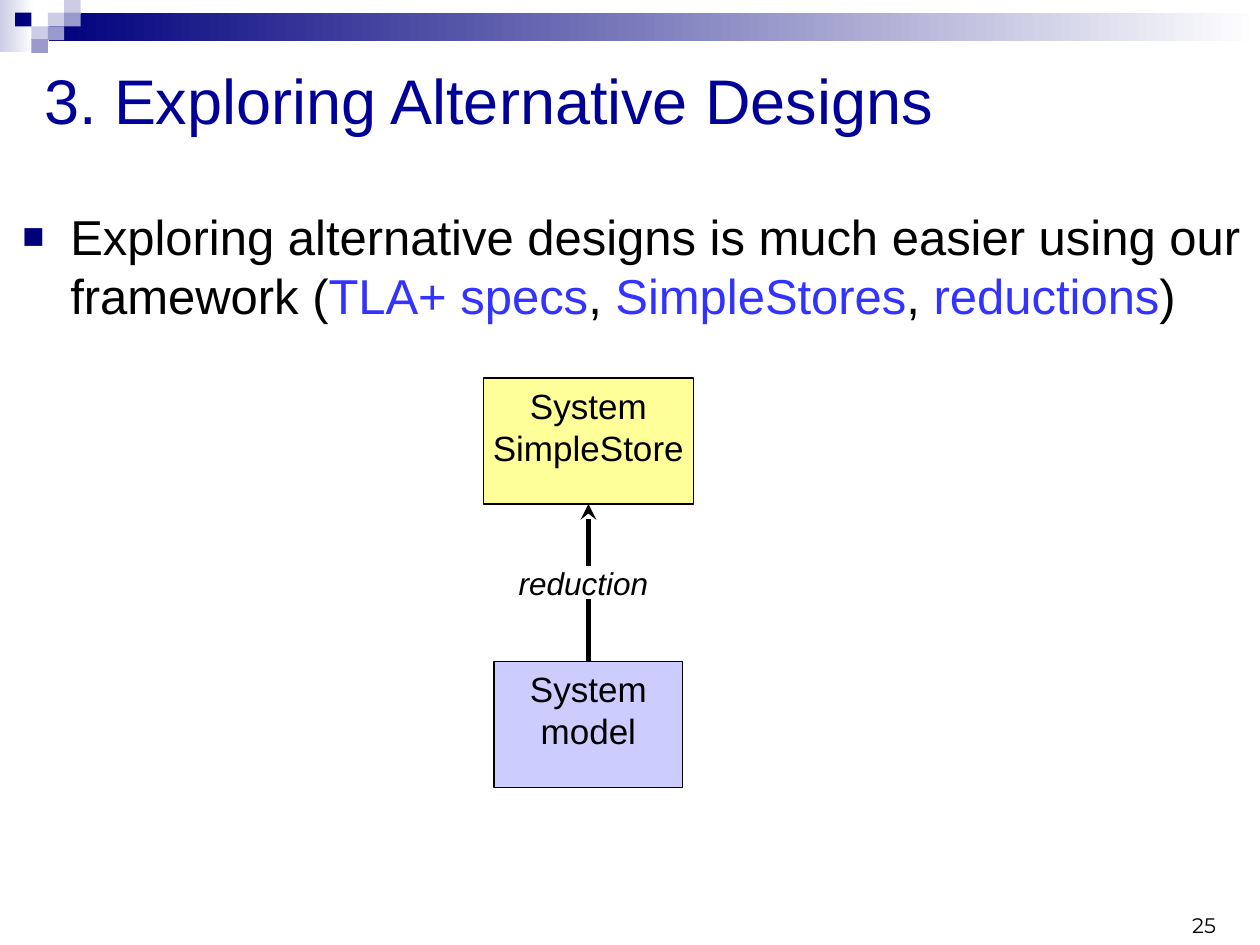
from lxml import etree
from pptx import Presentation
from pptx import util as u
from pptx.dml.color import RGBColor
from pptx.enum import shapes, text
from pptx.oxml.ns import qn

NAVY, LILAC, PALE = "00007D", "9999CC", "CCCCE6"
BLACK, WHITE, BLUE = "000000", "FFFFFF", "3333FF"


def color(hex_code):
    return RGBColor.from_string(hex_code)


class SlideBuilder:
    font = "Arial"

    def __init__(self, deck):
        self.slide = deck.slides.add_slide(deck.slide_layouts[5])

    def place(self, shape, left, top, width, height):
        shape.left, shape.top = u.Inches(left), u.Inches(top)
        shape.width, shape.height = u.Inches(width), u.Inches(height)

    def span(self, para, words, size, hex_code=BLACK, font=None, italic=False):
        span = para.add_run()
        span.text = words
        span.font.name = font or self.font
        span.font.size = u.Pt(size)
        span.font.italic = italic
        span.font.color.rgb = color(hex_code)

    def title(self, words, area):
        title = self.slide.shapes.title
        self.place(title, *area)
        title.text_frame.vertical_anchor = text.MSO_ANCHOR.MIDDLE
        para = title.text_frame.paragraphs[0]
        para.alignment = text.PP_ALIGN.LEFT
        self.span(para, words, 36, "000099")

    def text_box(self, area, anchor=text.MSO_ANCHOR.TOP):
        """Add an empty wrapping text box and return its frame."""
        box = self.slide.shapes.add_textbox(*map(u.Inches, area))
        frame = box.text_frame
        frame.word_wrap = True
        frame.auto_size = text.MSO_AUTO_SIZE.NONE
        frame.vertical_anchor = anchor
        return frame

    def bullet(self, para, indent):
        """Give a paragraph a hanging square bullet."""
        props = para._p.get_or_add_pPr()
        props.set("marL", str(u.Inches(indent)))
        props.set("indent", str(-u.Inches(indent)))
        tint = etree.SubElement(props, qn("a:buClr"))
        etree.SubElement(tint, qn("a:srgbClr"), val=NAVY)
        etree.SubElement(props, qn("a:buSzPct"), val="75000")
        etree.SubElement(props, qn("a:buFont"), typeface=self.font)
        etree.SubElement(props, qn("a:buChar"), char="■")

    def rectangle(self, area, fill=None, line=None):
        box = self.slide.shapes.add_shape(
            shapes.MSO_SHAPE.RECTANGLE, *map(u.Inches, area))
        box.shadow.inherit = False
        if fill:
            box.fill.solid()
            box.fill.fore_color.rgb = color(fill)
        if line:
            box.line.color.rgb = color(line)
            box.line.width = u.Pt(0.75)
        else:
            box.line.fill.background()
        return box

    def fade(self, area, left_color, right_color):
        """Add a rectangle that blends from left to right."""
        box = self.rectangle(area)
        box.fill.gradient()
        box.fill.gradient_angle = 180
        for stop, hex_code in zip(box.fill.gradient_stops, (right_color, left_color)):
            stop.color.rgb = color(hex_code)

    def label_box(self, area, lines, size, fill, line=BLACK, wrap=False,
                  anchor=text.MSO_ANCHOR.TOP, italic=False):
        box = self.rectangle(area, fill, line)
        frame = box.text_frame
        frame.word_wrap = wrap
        frame.vertical_anchor = anchor
        for number, words in enumerate(lines):
            para = frame.add_paragraph() if number else frame.paragraphs[0]
            para.alignment = text.PP_ALIGN.CENTER
            self.span(para, words, size, italic=italic)
        return box

    def arrow_up(self, lower, upper):
        """Join the top of one box to the bottom of another."""
        arrow = self.slide.shapes.add_connector(
            shapes.MSO_CONNECTOR.STRAIGHT, 0, 0, 0, 0)
        arrow.begin_connect(lower, 0)
        arrow.end_connect(upper, 2)
        arrow.line.color.rgb = color(BLACK)
        arrow.line.width = u.Pt(3)
        etree.SubElement(arrow.line._get_or_add_ln(), qn("a:tailEnd"), type="stealth")
        etree.SubElement(arrow._element.spPr, qn("a:effectLst"))


def add_banner(builder):
    builder.fade((0, 0, 0.27, 0.41), PALE, WHITE)
    builder.fade((0.39, 0.1, 9.61, 0.23), NAVY, WHITE)
    row_tops = (0, 0.1, 0.21, 0.31)
    squares = ((2, 1, PALE), (3, 0, PALE), (3, 1, LILAC), (1, 2, PALE),
               (0, 1, NAVY), (2, 2, LILAC), (1, 3, LILAC))
    for column, row, fill in squares:
        builder.rectangle((0.12 + 0.13 * column, row_tops[row], 0.13, 0.11), fill)


def add_message(builder):
    frame = builder.text_box((0.08, 1.33, 10, 2.75))
    frame.margin_top = u.Inches(0.31)
    para = frame.paragraphs[0]
    builder.bullet(para, 0.38)
    for words, hex_code in (
            ("Exploring alternative designs is much easier using our framework (", BLACK),
            ("TLA+ specs", BLUE), (",", BLACK), (" SimpleStores", BLUE),
            (",", BLACK), (" reductions", BLUE), (")", BLACK)):
        builder.span(para, words, 28, hex_code)


def add_diagram(builder):
    center = 4.67
    store_width, model_width = 1.67, 1.5
    store = builder.label_box((center - store_width / 2, 3, store_width, 1),
                              ("System", "SimpleStore"), 20, "FFFF99")
    model = builder.label_box((center - model_width / 2, 5.25, model_width, 1),
                              ("System model",), 20, "CCCCFF", wrap=True)
    builder.arrow_up(model, store)
    builder.label_box((3.92, 4.5, 1.42, 0.25), ("reduction",), 18, WHITE, WHITE,
                      anchor=text.MSO_ANCHOR.MIDDLE, italic=True)


def main():
    deck = Presentation()
    deck.slide_width, deck.slide_height = u.Inches(10), u.Inches(7.5)
    builder = SlideBuilder(deck)
    add_banner(builder)
    builder.title("3. Exploring Alternative Designs", (0.25, 0.33, 9.58, 0.92))
    add_message(builder)
    add_diagram(builder)
    number = builder.text_box((7.42, 7.17, 2.33, 0.32), text.MSO_ANCHOR.BOTTOM)
    number.paragraphs[0].alignment = text.PP_ALIGN.RIGHT
    builder.span(number.paragraphs[0], "25", 12, font="Montserrat")
    deck.save("out.pptx")


if __name__ == "__main__":
    main()
